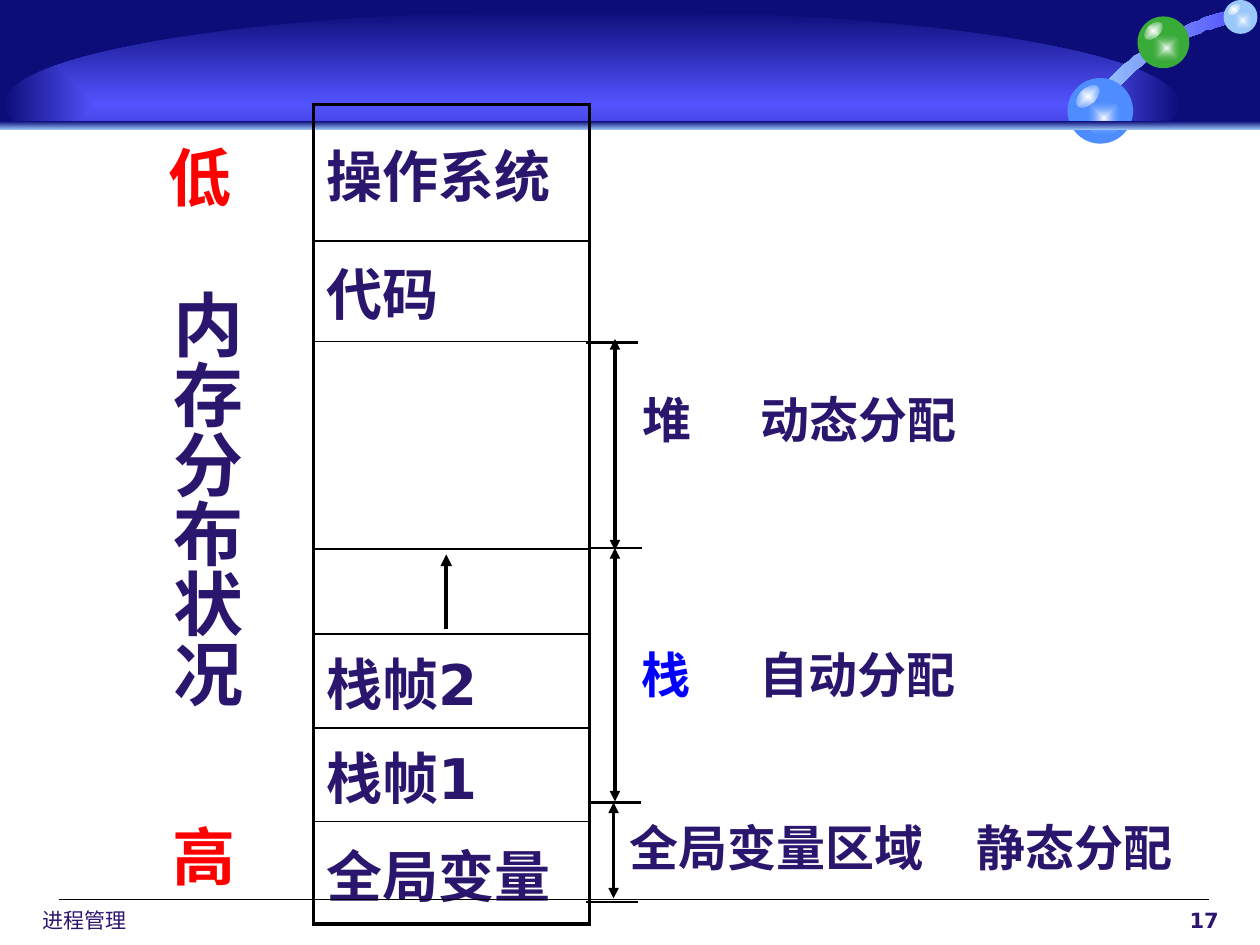
"""Build a slide showing how a process is laid out in memory."""
from lxml import etree
from pptx import Presentation
from pptx.dml.color import RGBColor
from pptx.enum.shapes import MSO_CONNECTOR as CONNECTOR, MSO_SHAPE as SHAPE
from pptx.enum.text import MSO_ANCHOR as ANCHOR, PP_ALIGN as ALIGN
from pptx.oxml import parse_xml
from pptx.oxml.ns import nsdecls, qn
from pptx.util import Pt

NAVY, BLUE, SKY, INK, BLACK, WHITE = "0D0D79", "5353FF", "9AC8FA", "2B166E", "000000", "FFFFFF"
BODY, SERIF = "DejaVu Sans", "Times New Roman"


def color(hex_text):
    return RGBColor.from_string(hex_text)


def paint(shape, start, end=None, direction="", end_alpha=100):
    shape.shadow.inherit = False
    shape.line.fill.background()
    shape.fill.solid()
    shape.fill.fore_color.rgb = color(start)
    if end:
        solid = shape._element.spPr.find(qn("a:solidFill"))
        gradient = parse_xml(
            f'<a:gradFill {nsdecls("a")} rotWithShape="1"><a:gsLst>'
            f'<a:gs pos="0"><a:srgbClr val="{start}"/></a:gs>'
            f'<a:gs pos="100000"><a:srgbClr val="{end}"><a:alpha val="{end_alpha * 1000}"/></a:srgbClr></a:gs>'
            f'</a:gsLst>{direction}</a:gradFill>')
        solid.getparent().replace(solid, gradient)


presentation = Presentation()
presentation.slide_width, presentation.slide_height = Pt(720), Pt(540)
slide = presentation.slides.add_slide(presentation.slide_layouts[6])
shapes = slide.shapes

radial = '<a:path path="shape"><a:fillToRect l="50000" t="50000" r="50000" b="50000"/></a:path>'
across, down = '<a:lin ang="0" scaled="0"/>', '<a:lin ang="5400000" scaled="0"/>'

paint(shapes.add_shape(SHAPE.RECTANGLE, 0, 0, Pt(720), Pt(72)), NAVY)
paint(shapes.add_shape(SHAPE.OVAL, Pt(2), Pt(6), Pt(672), Pt(107)), BLUE, NAVY, radial)
paint(shapes.add_shape(SHAPE.RECTANGLE, 0, Pt(71.5), Pt(720), Pt(422)), WHITE)

curves = [
    [(699.8, 14.4), (689, 16.6), (676.8, 21.6), (665.3, 28.1)],
    [(665.3, 28.1), (653.8, 35.3), (643.7, 43.9), (637.2, 52.6)],
    [(626.4, 53.3), (635, 42.5), (647.3, 31.7), (662.4, 23)],
    [(662.4, 23), (676.8, 13.7), (692.6, 7.9), (705.6, 5.8)],
]
ribbon_points = []
for curve in curves:
    for step in range(13):
        t = step / 12
        weights = ((1 - t) ** 3, 3 * t * (1 - t) ** 2, 3 * t * t * (1 - t), t ** 3)
        ribbon_points.append([sum(w * point[axis] for w, point in zip(weights, curve)) for axis in (0, 1)])
builder = shapes.build_freeform(*ribbon_points[0], scale=Pt(1))
builder.add_line_segments(ribbon_points[1:], close=True)
paint(builder.convert_to_shape(), SKY, BLUE, across)

for left, top, size, tint in [(650, 9.4, 29.6, "39AB39"), (610, 44.6, 37.5, "4D8DFF"), (699.2, 0, 19.4, SKY)]:
    paint(shapes.add_shape(SHAPE.OVAL, Pt(left), Pt(top), Pt(size), Pt(size)), tint)
    glow = shapes.add_shape(SHAPE.OVAL, Pt(left + 0.28 * size), Pt(top + 0.33 * size), Pt(0.56 * size), Pt(0.56 * size))
    paint(glow, WHITE, tint, radial, 0)
    shine = shapes.add_shape(SHAPE.OVAL, Pt(left + 0.1 * size), Pt(top + 0.16 * size), Pt(0.42 * size), Pt(0.24 * size))
    shine.rotation = 317.2
    paint(shine, WHITE, tint, radial)

paint(shapes.add_shape(SHAPE.RECTANGLE, 0, Pt(69.3), Pt(720), Pt(5)), NAVY, SKY, down)

rows = [("操作系统", 78), ("代码", 57.5), ("", 58), ("", 60.5), ("", 48.5), ("栈帧2", 53.5), ("栈帧1", 53.5), ("全局变量", 58.5)]
table = shapes.add_table(len(rows), 1, Pt(179.3), Pt(59.8), Pt(157.7), Pt(468)).table
table.first_row = table.horz_banding = False
rules = [2.25, 1, 1, 0, 1, 1, 1, 1, 2.25]
for index, (label, height) in enumerate(rows):
    table.rows[index].height = Pt(height)
    cell = table.cell(index, 0)
    cell.fill.background()
    cell.vertical_anchor = ANCHOR.MIDDLE
    properties = cell._tc.get_or_add_tcPr()
    borders = {"lnL": 2.25, "lnR": 2.25, "lnT": rules[index], "lnB": rules[index + 1]}
    for position, (side, width) in enumerate(borders.items()):
        border = etree.Element(qn(f"a:{side}"), w=str(Pt(width)))
        if width:
            fill = etree.SubElement(border, qn("a:solidFill"))
            etree.SubElement(fill, qn("a:srgbClr"), val=BLACK)
        else:
            etree.SubElement(border, qn("a:noFill"))
        properties.insert(position, border)
    if label:
        paragraph = cell.text_frame.paragraphs[0]
        paragraph.space_before = Pt(6)
        run = paragraph.add_run()
        run.text = label
        run.font.color.rgb = color(INK)
        for name, value in {"size": Pt(32), "bold": True, "name": BODY}.items():
            setattr(run.font, name, value)

lines = [
    (34, 514, 691, 514, 0.75, ""),
    (337, 458.6, 366.5, 458.6, 1.5, ""),
    (335, 515.5, 364.5, 515.5, 1.5, ""),
    (350.6, 458.6, 350.6, 513.4, 2, "both"),
    (255, 359.3, 255, 316.8, 2.25, "end"),
    (337.7, 313.2, 367, 313.2, 1.5, ""),
    (351.4, 313.2, 351.4, 458, 2, "both"),
    (335, 195.8, 364.5, 195.8, 1.5, ""),
    (351.4, 193.7, 351.4, 314.6, 2, "both"),
]
for x1, y1, x2, y2, width, arrows in lines:
    connector = shapes.add_connector(CONNECTOR.STRAIGHT, Pt(x1), Pt(y1), Pt(x2), Pt(y2))
    connector.line.width = Pt(width)
    connector.line.color.rgb = color(BLACK)
    line_xml = connector.line._get_or_add_ln()
    if arrows == "both":
        etree.SubElement(line_xml, qn("a:headEnd"), type="triangle")
    if arrows:
        etree.SubElement(line_xml, qn("a:tailEnd"), type="triangle")
    etree.SubElement(connector._element.spPr, qn("a:effectLst"))

labels = [
    ("进程管理", 17.3, 514.8, 191, 24, 12, BODY, INK, False, ALIGN.LEFT),
    ("17", 475, 514.8, 228.5, 24, 12, BODY, INK, True, ALIGN.RIGHT),
    ("内存分布状况", 82.8, 158.4, 62.6, 243.4, 40, SERIF, INK, True, ALIGN.LEFT),
    ("全局变量区域", 352.8, 463.7, 183.6, 41, 28, SERIF, INK, True, ALIGN.LEFT),
    ("静态分配", 550.8, 463.7, 126.7, 41, 28, SERIF, INK, True, ALIGN.LEFT),
    ("栈", 359.3, 365, 42.5, 41, 28, SERIF, "0000FF", True, ALIGN.LEFT),
    ("自动分配", 427, 365, 126.7, 41, 28, SERIF, INK, True, ALIGN.LEFT),
    ("堆", 360, 218.9, 42.5, 41, 28, SERIF, INK, True, ALIGN.LEFT),
    ("动态分配", 427.7, 218.9, 126.7, 41, 28, SERIF, INK, True, ALIGN.LEFT),
    ("低", 89.3, 75.6, 51, 51, 36, SERIF, "FF0000", True, ALIGN.LEFT),
    ("高", 91.4, 463.7, 51, 51, 36, SERIF, "FF0000", True, ALIGN.LEFT),
]
for text, left, top, width, height, size, font, tint, bold, align in labels:
    frame = shapes.add_textbox(Pt(left), Pt(top), Pt(width), Pt(height)).text_frame
    frame.word_wrap = size == 12
    if text == "内存分布状况":
        frame._txBody.bodyPr.set("vert", "eaVert")
    paragraph = frame.paragraphs[0]
    paragraph.alignment = align
    run = paragraph.add_run()
    run.text = text
    run.font.color.rgb = color(tint)
    for name, value in {"size": Pt(size), "bold": bold, "name": font}.items():
        setattr(run.font, name, value)

presentation.save("out.pptx")
